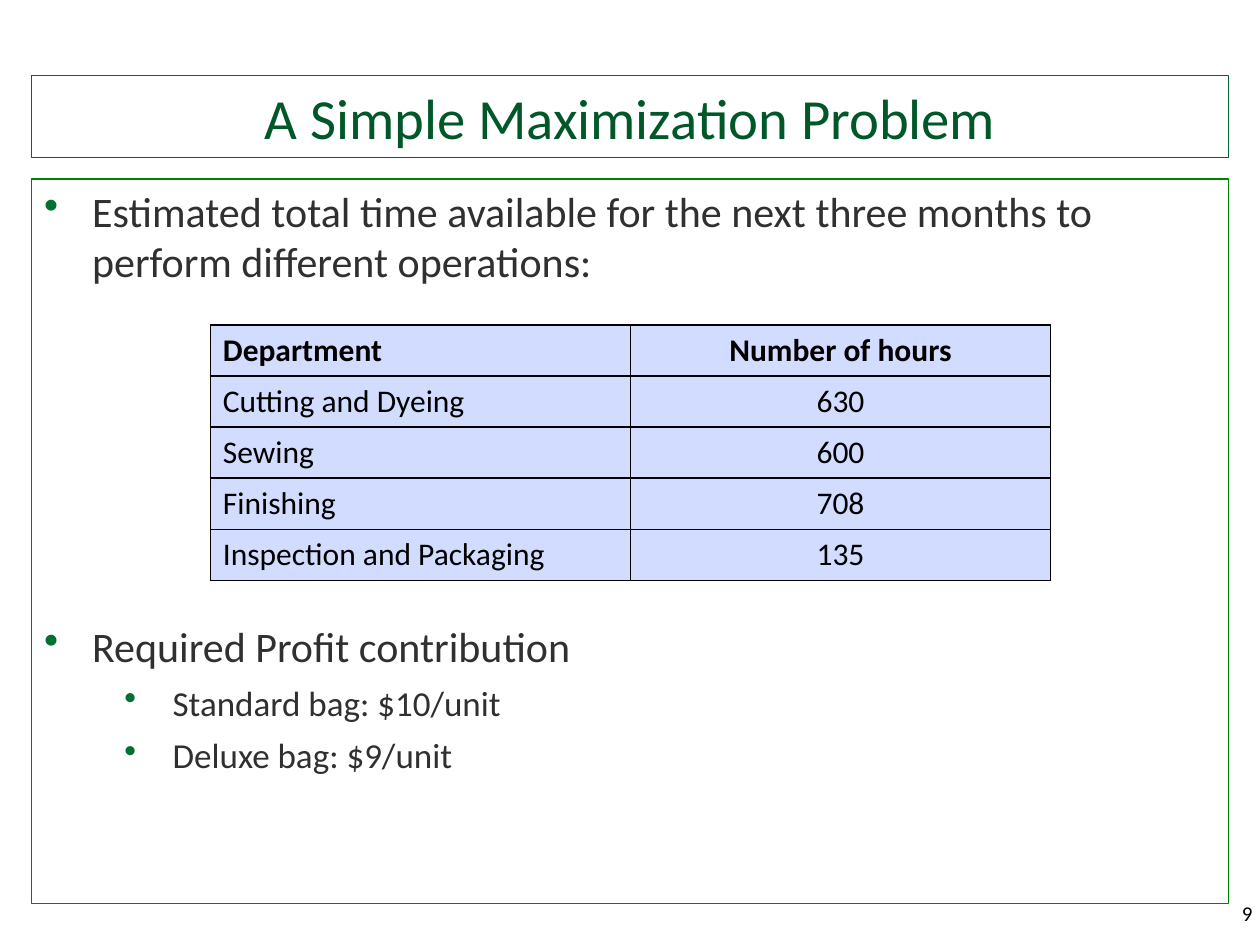
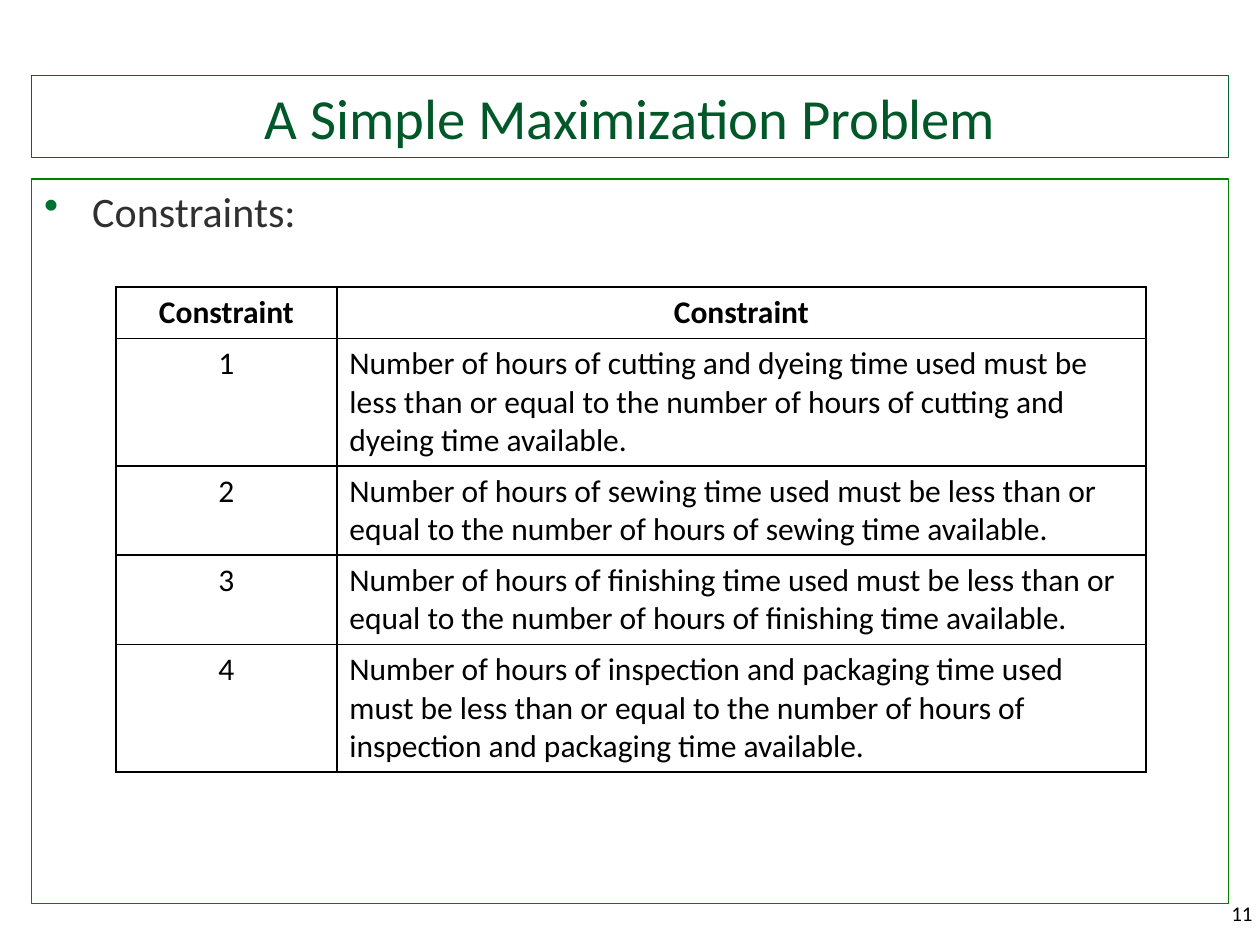
"""Build two slides on a simple maximization problem."""
from dataclasses import dataclass

from lxml import etree
from pptx import Presentation
from pptx import util as u
from pptx.dml.color import RGBColor
from pptx.enum import shapes, text
from pptx.oxml.ns import qn

LEFT, CENTER, RIGHT = text.PP_ALIGN.LEFT, text.PP_ALIGN.CENTER, text.PP_ALIGN.RIGHT


@dataclass(frozen=True)
class Theme:
    font: str = "Calibri"
    title: str = "005828"
    title_line: str = "00682F"
    body: str = "303030"
    body_line: str = "008200"
    bullet: str = "007033"
    ink: str = "000000"
    table_fill: str = "D2DCFE"
    title_size: float = 32.4
    body_sizes: tuple[float, ...] = (24, 20)
    table_size: float = 18
    number_size: float = 12
    frame_width: float = 0.75
    border_width: float = 1


@dataclass(frozen=True)
class Box:
    left: float
    top: float
    width: float
    height: float

    def lengths(self) -> tuple[u.Length, ...]:
        """Return the four measures as lengths."""
        return tuple(u.Cm(v) for v in (self.left, self.top, self.width, self.height))


@dataclass(frozen=True)
class Bullet:
    words: str
    level: int = 0
    after: float = 6


@dataclass(frozen=True)
class Row:
    cells: tuple[str, str]
    lines: int = 1


@dataclass(frozen=True)
class Grid:
    left: float
    top: float
    columns: tuple[float, float]
    head_align: tuple
    body_align: tuple
    rows: list[Row]
    fill: str | None = None


@dataclass(frozen=True)
class Page:
    number: int
    bullets: list[Bullet]
    grid: Grid


THEME = Theme()
TITLE = "A Simple Maximization Problem"
TITLE_BOX = Box(0.64, 1.52, 24.13, 1.65)
BODY_BOX = Box(0.64, 3.61, 24.13, 14.6)
NUMBER_BOX = Box(23.39, 18.03, 2.11, 1.02)
BULLET_INDENTS = (0.97, 2.59)
HANGING = 0.97
LINE_HEIGHT, CELL_PADDING = 0.77, 0.26

PAGES = [
    Page(
        9,
        [
            Bullet("Estimated total time available for the next three months to "
                   "perform different operations:", after=191),
            Bullet("Required Profit contribution"),
            Bullet("Standard bag: $10/unit", 1),
            Bullet("Deluxe bag: $9/unit", 1),
        ],
        Grid(4.24, 6.55, (8.47, 8.47), (LEFT, CENTER), (LEFT, CENTER), [
            Row(("Department", "Number of hours")),
            Row(("Cutting and Dyeing", "630")),
            Row(("Sewing", "600")),
            Row(("Finishing", "708")),
            Row(("Inspection and Packaging", "135")),
        ], THEME.table_fill),
    ),
    Page(
        11,
        [Bullet("Constraints:")],
        Grid(2.34, 5.79, (4.45, 16.31), (CENTER, CENTER), (CENTER, LEFT), [
            Row(("Constraint", "Constraint")),
            Row(("1", "Number of hours of cutting and dyeing time used must be less than or "
                 "equal to the number of hours of cutting and dyeing time available."), 3),
            Row(("2", "Number of hours of sewing time used must be less than or "
                 "equal to the number of hours of sewing time available."), 2),
            Row(("3", "Number of hours of finishing time used must be less than or "
                 "equal to the number of hours of finishing time available."), 2),
            Row(("4", "Number of hours of inspection and packaging time used must be less than or "
                 "equal to the number of hours of inspection and packaging time available."), 3),
        ]),
    ),
]


def write(p, words: str, size: float, color: str, align=LEFT, bold: bool = False) -> None:
    """Fill a paragraph with styled text."""
    p.text = words
    p.alignment = align
    p.font.name, p.font.size, p.font.bold = THEME.font, u.Pt(size), bold
    p.font.color.rgb = RGBColor.from_string(color)


def add_color(parent, tag: str, color: str) -> None:
    """Append an element that holds one RGB colour."""
    etree.SubElement(etree.SubElement(parent, qn(tag)), qn("a:srgbClr"), val=color)


def add_frame(slide, box: Box, line: str, anchor):
    """Draw an outlined rectangle and return its text frame."""
    sp = slide.shapes.add_shape(shapes.MSO_SHAPE.RECTANGLE, *box.lengths())
    sp.shadow.inherit = False
    sp.fill.background()
    sp.line.color.rgb = RGBColor.from_string(line)
    sp.line.width = u.Pt(THEME.frame_width)
    tf = sp.text_frame
    tf.word_wrap = True
    tf.vertical_anchor = anchor
    return tf


def add_bullets(tf, bullets: list[Bullet]) -> None:
    """Write bulleted paragraphs into a text frame."""
    for i, item in enumerate(bullets):
        p = tf.add_paragraph() if i else tf.paragraphs[0]
        p.level = item.level
        props = p._p.get_or_add_pPr()
        props.set("marL", str(u.Cm(BULLET_INDENTS[item.level])))
        props.set("indent", str(-u.Cm(HANGING)))
        add_color(props, "a:buClr", THEME.bullet)
        etree.SubElement(props, qn("a:buChar"), char="•")
        p.space_after = u.Pt(item.after)
        write(p, item.words, THEME.body_sizes[item.level], THEME.body)


def add_borders(cell) -> None:
    """Draw solid lines on all four sides of a cell."""
    props = cell._tc.get_or_add_tcPr()
    for side in ("a:lnL", "a:lnR", "a:lnT", "a:lnB"):
        line = etree.SubElement(props, qn(side), w=str(u.Pt(THEME.border_width)))
        add_color(line, "a:solidFill", THEME.ink)


def add_grid(slide, grid: Grid) -> None:
    """Draw a bordered table with a bold first row."""
    heights = [row.lines * LINE_HEIGHT + CELL_PADDING for row in grid.rows]
    box = Box(grid.left, grid.top, sum(grid.columns), sum(heights))
    table = slide.shapes.add_table(len(heights), len(grid.columns), *box.lengths()).table
    table.first_row = table.horz_banding = False
    for column, width in zip(table.columns, grid.columns):
        column.width = u.Cm(width)
    for r, (row, height) in enumerate(zip(grid.rows, heights)):
        table.rows[r].height = u.Cm(height)
        aligns = grid.body_align if r else grid.head_align
        for c, (words, align) in enumerate(zip(row.cells, aligns)):
            cell = table.cell(r, c)
            add_borders(cell)
            if grid.fill:
                cell.fill.solid()
                cell.fill.fore_color.rgb = RGBColor.from_string(grid.fill)
            else:
                cell.fill.background()
            write(cell.text_frame.paragraphs[0], words, THEME.table_size, THEME.ink,
                  align, bold=r == 0)


def add_page(prs, page: Page) -> None:
    """Add one slide with number, title, bullets and table."""
    s = prs.slides.add_slide(prs.slide_layouts[6])
    number = s.shapes.add_textbox(*NUMBER_BOX.lengths()).text_frame
    number.word_wrap = True
    write(number.paragraphs[0], str(page.number), THEME.number_size, THEME.ink, RIGHT)
    title = add_frame(s, TITLE_BOX, THEME.title_line, text.MSO_ANCHOR.BOTTOM)
    write(title.paragraphs[0], TITLE, THEME.title_size, THEME.title, CENTER)
    add_bullets(add_frame(s, BODY_BOX, THEME.body_line, text.MSO_ANCHOR.TOP), page.bullets)
    add_grid(s, page.grid)


def main() -> None:
    """Build and save the presentation."""
    prs = Presentation()
    prs.slide_width, prs.slide_height = u.Cm(25.4), u.Cm(19.05)
    for page in PAGES:
        add_page(prs, page)
    prs.save("out.pptx")


if __name__ == "__main__":
    main()
